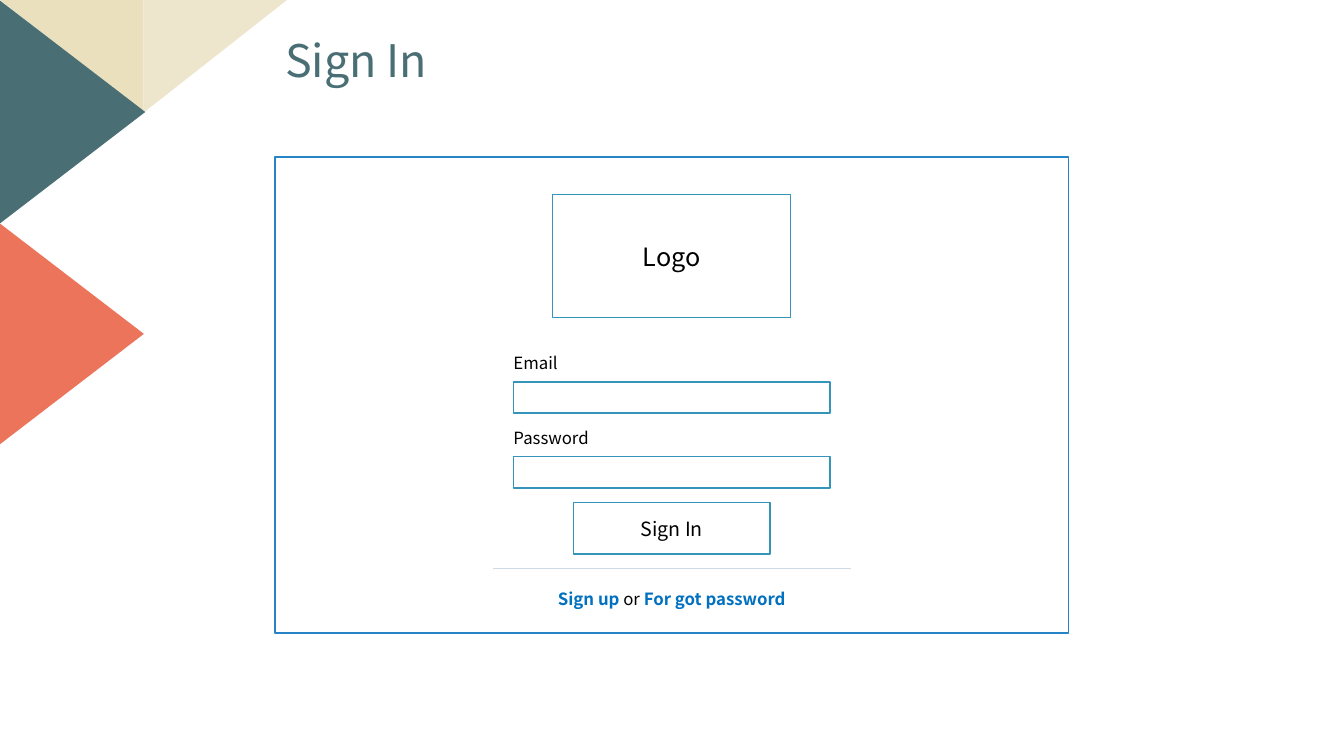
from lxml import etree
from pptx import Presentation
from pptx.dml.color import RGBColor
from pptx.enum.shapes import MSO_CONNECTOR, MSO_SHAPE
from pptx.enum.text import MSO_ANCHOR, MSO_AUTO_SIZE, PP_ALIGN
from pptx.oxml.ns import qn
from pptx.util import Pt

RECTANGLE = MSO_SHAPE.RECTANGLE
TRIANGLE = MSO_SHAPE.ISOSCELES_TRIANGLE
RIGHT_TRIANGLE = MSO_SHAPE.RIGHT_TRIANGLE
STRAIGHT = MSO_CONNECTOR.STRAIGHT
MIDDLE = MSO_ANCHOR.MIDDLE
NO_AUTOFIT = MSO_AUTO_SIZE.NONE
LEFT, CENTER = PP_ALIGN.LEFT, PP_ALIGN.CENTER

FONT = "Noto Sans CJK KR"
SAND = RGBColor(0xEA, 0xE0, 0xBE)
PALE_SAND = RGBColor(0xEE, 0xE6, 0xCC)
TEAL = RGBColor(0x49, 0x6F, 0x74)
CORAL = RGBColor(0xEC, 0x74, 0x5B)
WHITE = RGBColor(0xFF, 0xFF, 0xFF)
BLACK = RGBColor(0x00, 0x00, 0x00)
PANEL_BLUE = RGBColor(0x26, 0x83, 0xC6)
FIELD_BLUE = RGBColor(0x34, 0x94, 0xBA)
LINK_BLUE = RGBColor(0x00, 0x70, 0xC0)
DIVIDER_GREY = RGBColor(0xCE, 0xDB, 0xE6)

CENTER_X = 479.8
FIELD_WIDTH = 226
FIELD_LEFT = CENTER_X - FIELD_WIDTH / 2
ROW_HEIGHT = 22.3
ROW_STEP = 53.4

prs = Presentation()
prs.slide_width, prs.slide_height = Pt(960), Pt(540)
slide = prs.slides.add_slide(prs.slide_layouts[5])
shapes = slide.shapes


def write(shape, text, size, color=BLACK, align=CENTER):
    frame = shape.text_frame
    frame.word_wrap = True
    frame.auto_size = NO_AUTOFIT
    frame.vertical_anchor = MIDDLE
    paragraph = frame.paragraphs[0]
    paragraph.text = text
    paragraph.alignment = align
    paragraph.font.name = FONT
    paragraph.font.size = Pt(size)
    paragraph.font.color.rgb = color
    return paragraph


def add_box(top, width, height, outline=FIELD_BLUE):
    box = shapes.add_shape(RECTANGLE, Pt(CENTER_X - width / 2), Pt(top), Pt(width), Pt(height))
    box.shadow.inherit = False
    box.fill.solid()
    box.fill.fore_color.rgb = WHITE
    box.line.color.rgb = outline
    box.line.width = Pt(1)
    return box


for preset, left, top, width, height, rotation, flipped, color in (
    (RIGHT_TRIANGLE, 0, 0, 102.5, 80.5, 180, False, SAND),
    (RIGHT_TRIANGLE, 102.5, 0, 102.5, 80.5, 180, True, PALE_SAND),
    (TRIANGLE, -28, 28, 159.5, 104, 90, False, TEAL),
    (TRIANGLE, -29, 186.5, 159.5, 104, 90, False, CORAL),
):
    corner = shapes.add_shape(preset, Pt(left), Pt(top), Pt(width), Pt(height))
    corner.shadow.inherit = False
    corner.rotation = rotation
    if flipped:
        corner.element.spPr.find(qn("a:xfrm")).set("flipH", "1")
    corner.fill.solid()
    corner.fill.fore_color.rgb = color
    corner.line.fill.background()

title = shapes.title
title.left, title.top, title.width, title.height = Pt(196.5), Pt(23.8), Pt(436.3), Pt(42.5)
heading = write(title, "Sign In", 32, TEAL, LEFT)
heading.line_spacing = 0.9

add_box(112.3, 566.6, 340, PANEL_BLUE)
write(add_box(139, 170, 88), "Logo", 18)

for row, caption in enumerate(("Email", "Password")):
    label_top = 248.2 + row * ROW_STEP
    label = shapes.add_textbox(Pt(FIELD_LEFT), Pt(label_top), Pt(155), Pt(ROW_HEIGHT))
    write(label, caption, 12, align=LEFT)
    label.text_frame.margin_left = 0
    add_box(label_top + 24.6, FIELD_WIDTH, ROW_HEIGHT)

write(add_box(359, 140.5, 36.7), "Sign In", 14)

divider = shapes.add_connector(STRAIGHT, Pt(CENTER_X - 127.8), Pt(406), Pt(CENTER_X + 127.8), Pt(406))
divider.line.color.rgb = DIVIDER_GREY
divider.line.width = Pt(0.5)
etree.SubElement(divider.element.spPr, qn("a:effectLst"))

account_links = shapes.add_textbox(Pt(FIELD_LEFT), Pt(416.2), Pt(FIELD_WIDTH), Pt(ROW_HEIGHT))
links_line = write(account_links, "", 12)
for text, is_link in (("Sign up", True), (" or ", False), ("For got password", True)):
    run = links_line.add_run()
    run.text = text
    run.font.bold = is_link
    run.font.color.rgb = LINK_BLUE if is_link else BLACK

prs.save("out.pptx")
